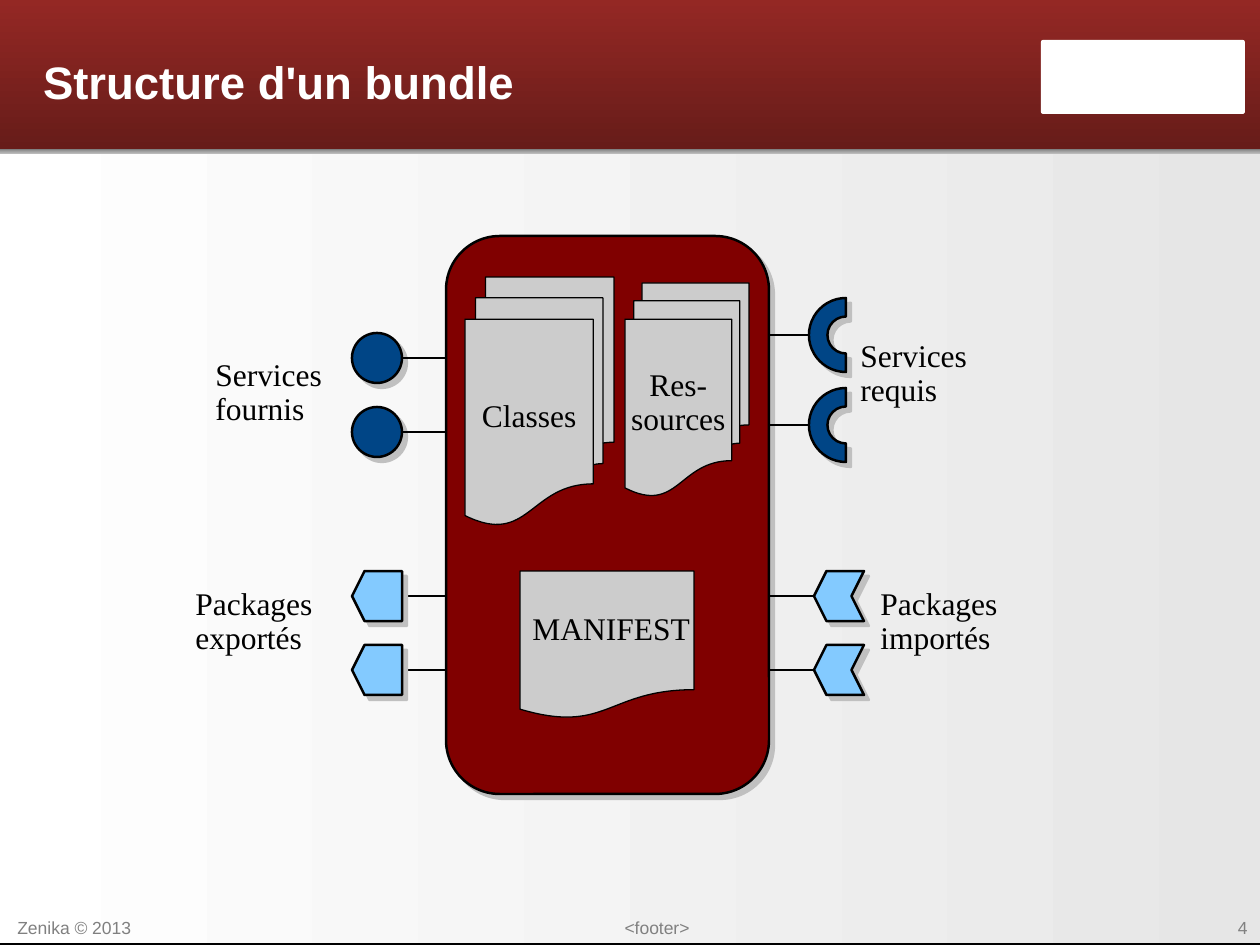
from lxml import etree
from pptx import Presentation
from pptx import util as u
from pptx.dml.color import RGBColor
from pptx.enum import shapes, text
from pptx.oxml.ns import qn

PX = u.Inches(1) / 126
KIND = shapes.MSO_SHAPE
ALIGN = text.PP_ALIGN
ANCHOR = text.MSO_ANCHOR

BLACK = RGBColor(0x00, 0x00, 0x00)
WHITE = RGBColor(0xFF, 0xFF, 0xFF)
PALE = RGBColor(0xE6, 0xE6, 0xE6)
MIST = RGBColor(0xD5, 0xDF, 0xE7)
SNOW = RGBColor(0xFE, 0xFE, 0xFE)
RED = RGBColor(0x94, 0x28, 0x24)
WINE = RGBColor(0x67, 0x1C, 0x19)
MAROON = RGBColor(0x80, 0x00, 0x00)
SILVER = RGBColor(0xC0, 0xC0, 0xC0)
GREY = RGBColor(0x80, 0x80, 0x80)
PAPER = RGBColor(0xCC, 0xCC, 0xCC)
NAVY = RGBColor(0x00, 0x45, 0x86)
SKY = RGBColor(0x83, 0xCA, 0xFF)

TITLE = "Structure d'un bundle"
FOOTER = [
    ("Zenika © 2013", (5, 911, 149, 21), ALIGN.LEFT),
    ("<footer>", (471, 911, 372, 21), ALIGN.CENTER),
    ("4", (1111, 911, 149, 21), ALIGN.RIGHT),
]
LABELS = [
    (["Services", "fournis"], (203, 353, 149, 81)),
    (["Services", "requis"], (848, 334, 149, 81)),
    (["Packages", "exportés"], (183, 582, 174, 81)),
    (["Packages", "importés"], (868, 582, 174, 81)),
]
PAPERS = [
    (["Classes"], KIND.FLOWCHART_MULTIDOCUMENT, (465, 277, 149, 248), ALIGN.CENTER),
    (["Res-", "sources"], KIND.FLOWCHART_MULTIDOCUMENT, (625, 283, 124, 213), ALIGN.CENTER),
    (["MANIFEST"], KIND.FLOWCHART_DOCUMENT, (520, 571, 174, 148), ALIGN.LEFT),
]
BODY = (446, 236, 323, 558)
# shape, adjustments, rotation, fill, left, size, centre heights, line ends, line in front
PORTS = [
    (KIND.OVAL, [], 0, NAVY, 352, 50, (358, 432), (402, 446), True),
    (KIND.BLOCK_ARC, [108, 0, 0.25], 270, NAVY, 809, 74, (335, 425), (769, 809), True),
    (KIND.PENTAGON, [0.25], 180, SKY, 352, 50, (596, 670), (402, 446), False),
    (KIND.CHEVRON, [0.25], 180, SKY, 814, 50, (596, 670), (769, 814), False),
]


def emu(*nums):
    return [u.Emu(round(n * PX)) for n in nums]


def blend(fill, start, end, angle):
    """Two-colour gradient; the angle runs counter-clockwise."""
    fill.gradient()
    fill.gradient_angle = angle
    for stop, color in zip(fill.gradient_stops, (start, end)):
        stop.color.rgb = color


def shade(shape):
    """Hard grey shadow to the lower right."""
    fx = etree.SubElement(shape._element.spPr, qn("a:effectLst"))
    cast = etree.SubElement(fx, qn("a:outerShdw"), blurRad="0", dist=str(u.Pt(4)),
                            dir="2700000", algn="tl", rotWithShape="0")
    etree.SubElement(cast, qn("a:srgbClr"), val=str(SILVER))


def draw(kind, box, color=None, width=None, adjust=(), turn=0, shadow=False):
    shape = slide.shapes.add_shape(kind, *emu(*box))
    for i, value in enumerate(adjust):
        shape.adjustments[i] = value
    shape.rotation = turn
    if color is not None:
        shape.fill.solid()
        shape.fill.fore_color.rgb = color
    if width is None:
        shape.line.fill.background()
    else:
        shape.line.color.rgb = BLACK
        shape.line.width = u.Pt(width)
    if shadow:
        shade(shape)
    else:
        shape.shadow.inherit = False
    return shape


def wire(x1, x2, y):
    line = slide.shapes.add_connector(shapes.MSO_CONNECTOR.STRAIGHT, *emu(x1, y, x2, y))
    line.line.color.rgb = BLACK
    line.line.width = u.Pt(1.42)
    etree.SubElement(line._element.spPr, qn("a:effectLst"))


def write(shape, lines, font, size, color, align=ALIGN.LEFT, space=1.0,
          anchor=ANCHOR.TOP, wrap=True, bold=False):
    frame = shape.text_frame
    frame.text = "\n".join(lines)
    frame.word_wrap = wrap
    frame.vertical_anchor = anchor
    for para in frame.paragraphs:
        para.alignment = align
        para.line_spacing = space
        para.font.name = font
        para.font.size = u.Pt(size)
        para.font.bold = bold
        para.font.color.rgb = color


deck = Presentation()
deck.slide_width, deck.slide_height = emu(1260, 945)
slide = deck.slides.add_slide(deck.slide_layouts[5])

# Frame
blend(slide.background.fill, MIST, SNOW, 0)
panel = draw(KIND.RECTANGLE, (-5, 136, 1270, 808), width=0.75)
blend(panel.fill, WHITE, PALE, 0)
band = draw(KIND.RECTANGLE, (-5, 0, 1265, 149))
blend(band.fill, RED, WINE, 270)
edge = draw(KIND.RECTANGLE, (-5, 149, 1265, 5))
blend(edge.fill, SILVER, GREY, 90)
draw(KIND.ROUNDED_RECTANGLE, (1041, 40, 204, 74), WHITE, adjust=[0.03])
for words, box, align in FOOTER:
    write(slide.shapes.add_textbox(*emu(*box)), [words], "Arial", 10, GREY, align)

# Bundle and its ports
draw(KIND.ROUNDED_RECTANGLE, BODY, MAROON, 1.42, shadow=True)
for kind, adjust, turn, color, left, size, mids, ends, front in PORTS:
    for mid in mids:
        if not front:
            wire(*ends, mid)
        draw(kind, (left, mid - size / 2, size, size), color, 1.42, adjust, turn, True)
        if front:
            wire(*ends, mid)
for lines, box in LABELS:
    write(slide.shapes.add_textbox(*emu(*box)), lines, "Times New Roman", 18, BLACK, space=0.9)
for lines, kind, box, align in PAPERS:
    write(draw(kind, box, PAPER, 0), lines, "Times New Roman", 18, BLACK, align, 0.9,
          ANCHOR.MIDDLE, wrap=False)

# Title, brought to the front
title = slide.shapes.title
title.left, title.top, title.width, title.height = emu(43, 13, 970, 137)
frame = title.text_frame
frame.margin_left = frame.margin_right = frame.margin_top = frame.margin_bottom = 0
write(title, [TITLE], "Arial", 26, WHITE, anchor=ANCHOR.MIDDLE, bold=True)
slide.shapes._spTree.append(title._element)

deck.save("out.pptx")
